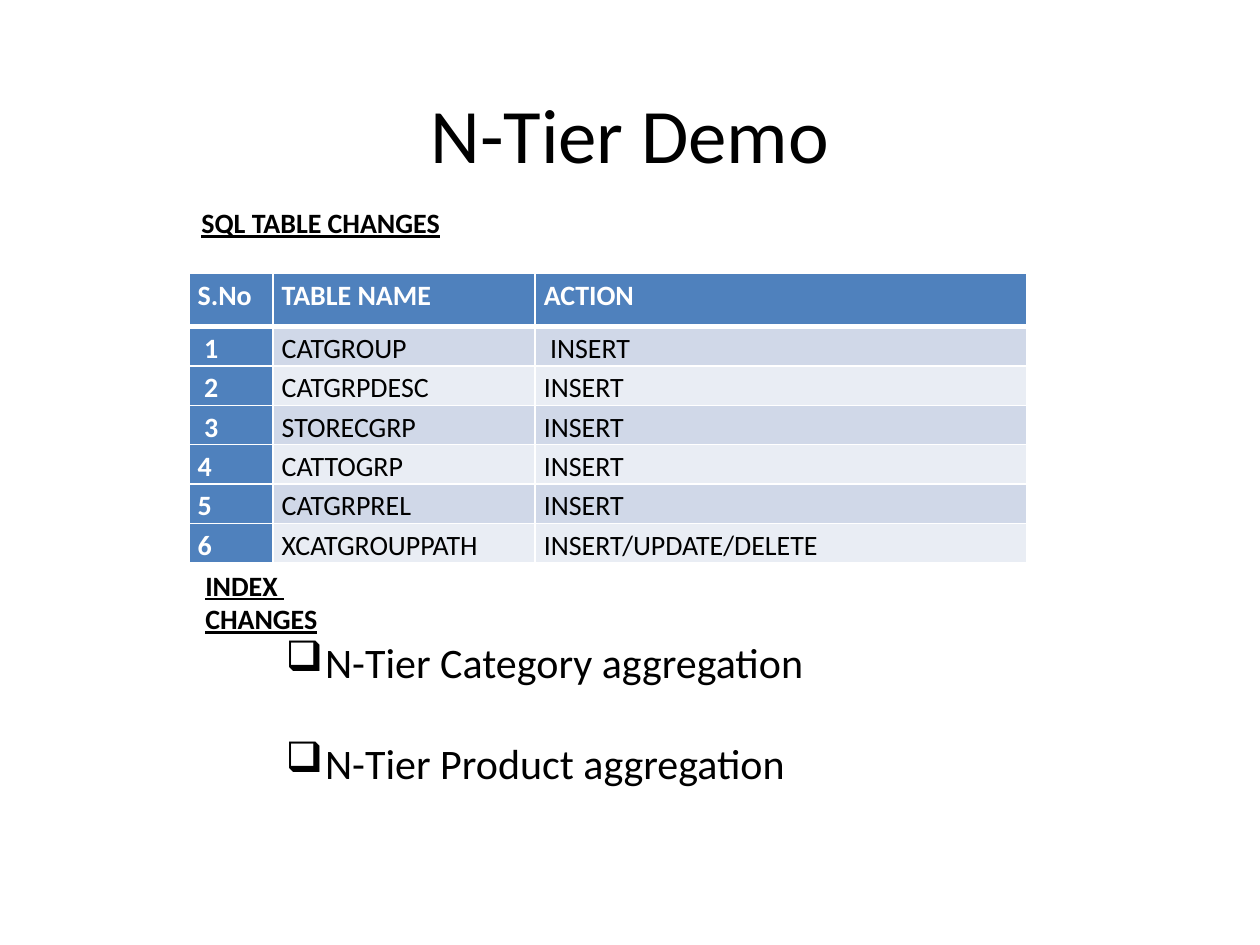
from pptx import Presentation
from pptx.dml.color import RGBColor
from pptx.enum.text import MSO_ANCHOR, MSO_AUTO_SIZE, PP_ALIGN
from pptx.oxml import parse_xml
from pptx.oxml.ns import nsdecls
from pptx.util import Pt

BLACK = RGBColor(0x00, 0x00, 0x00)
WHITE = RGBColor(0xFF, 0xFF, 0xFF)
BLUE = RGBColor(0x4F, 0x81, 0xBD)
BAND_DARK = RGBColor(0xD0, 0xD8, 0xE8)
BAND_LIGHT = RGBColor(0xE9, 0xED, 0xF4)
FONT = "Calibri"
TITLE_ONLY = 5

COLUMN_WIDTHS = (48, 149.8, 281)
HEADER_HEIGHT = 30.2
ROW_HEIGHT = 22.1
TABLE_ROWS = (
    ("S.No", "TABLE NAME", "ACTION"),
    (" 1", "CATGROUP", " INSERT"),
    (" 2", "CATGRPDESC", "INSERT"),
    (" 3", "STORECGRP", "INSERT"),
    ("4", "CATTOGRP", "INSERT"),
    ("5", "CATGRPREL", "INSERT"),
    ("6", "XCATGROUPPATH", "INSERT/UPDATE/DELETE"),
)


def style_font(font, size, color=BLACK, bold=False, underline=False):
    """Set the typeface, size, colour and emphasis of a font."""
    font.name = FONT
    font.size = Pt(size)
    font.color.rgb = color
    font.bold = bold
    font.underline = underline


def add_title(page, text):
    """Place the centred slide title."""
    title = page.shapes.title
    title.left, title.top, title.width, title.height = Pt(54), Pt(18), Pt(612), Pt(116)
    frame = title.text_frame
    frame.text = text
    frame.vertical_anchor = MSO_ANCHOR.MIDDLE
    para = frame.paragraphs[0]
    para.alignment = PP_ALIGN.CENTER
    style_font(para.font, 44)


def add_text_box(page, left, top, width, height):
    """Add a text box that grows with its text and return its frame."""
    box = page.shapes.add_textbox(Pt(left), Pt(top), Pt(width), Pt(height))
    frame = box.text_frame
    frame.word_wrap = False
    frame.auto_size = MSO_AUTO_SIZE.SHAPE_TO_FIT_TEXT
    return frame


def add_heading(page, text, left, top, width):
    """Add an underlined section heading."""
    frame = add_text_box(page, left, top, width, 26.6)
    frame.text = text
    style_font(frame.paragraphs[0].font, 16, bold=True, underline=True)


def add_bullets(page, items):
    """Add the list with box bullets and a line of space between items."""
    frame = add_text_box(page, 156.2, 360, 313.2, 94.3)
    frame.text = "\n".join(items)
    for index, para in enumerate(frame.paragraphs):
        style_font(para.font, 24)
        para.space_before = Pt(29 if index else 0)
        properties = para._p.get_or_add_pPr()
        properties.set("marL", str(Pt(22.5)))
        properties.set("indent", str(-Pt(22.5)))
        bullet = parse_xml(f'<a:buChar {nsdecls("a")} char="❑"/>')
        properties.insert_element_before(bullet, "a:tabLst", "a:defRPr", "a:extLst")


def set_borders(cell, top, bottom):
    """Draw white borders around a cell with the given top and bottom widths."""
    properties = cell._tc.get_or_add_tcPr()
    widths = {"lnL": 1, "lnR": 1, "lnT": top, "lnB": bottom}
    for index, (side, width) in enumerate(widths.items()):
        line = parse_xml(
            f'<a:{side} {nsdecls("a")} w="{Pt(width)}"><a:solidFill>'
            f'<a:srgbClr val="{WHITE}"/></a:solidFill></a:{side}>'
        )
        properties.insert(index, line)


def fill_cell(cell, text, row, column):
    """Write and format one cell according to its place in the table."""
    strong = row == 0 or column == 0
    cell.text = text
    cell.margin_left = cell.margin_right = Pt(5)
    cell.margin_top = cell.margin_bottom = Pt(0)
    para = cell.text_frame.paragraphs[0]
    para.line_spacing = 1.15
    style_font(para.font, 16, WHITE if strong else BLACK, bold=strong)
    cell.fill.solid()
    band = BAND_DARK if row % 2 else BAND_LIGHT
    cell.fill.fore_color.rgb = BLUE if strong else band
    set_borders(cell, top=3 if row == 1 else 1, bottom=3 if row == 0 else 1)


def add_changes_table(page):
    """Add the table of database changes."""
    heights = [HEADER_HEIGHT] + [ROW_HEIGHT] * (len(TABLE_ROWS) - 1)
    table = page.shapes.add_table(
        len(TABLE_ROWS), len(COLUMN_WIDTHS),
        Pt(108), Pt(156.4), Pt(sum(COLUMN_WIDTHS)), Pt(sum(heights)),
    ).table
    for column, width in zip(table.columns, COLUMN_WIDTHS):
        column.width = Pt(width)
    for row, (height, texts) in enumerate(zip(heights, TABLE_ROWS)):
        table.rows[row].height = Pt(height)
        for column, text in enumerate(texts):
            fill_cell(table.cell(row, column), text, row, column)


def main():
    """Build the slide and save the deck."""
    deck = Presentation()
    deck.slide_width, deck.slide_height = Pt(720), Pt(540)
    page = deck.slides.add_slide(deck.slide_layouts[TITLE_ONLY])
    add_changes_table(page)
    add_heading(page, "SQL TABLE CHANGES", 108, 113.8, 154.8)
    add_heading(page, "INDEX  CHANGES", 110.2, 321.1, 121.7)
    add_bullets(page, ("N-Tier Category aggregation", "N-Tier Product aggregation"))
    add_title(page, "N-Tier Demo")
    deck.save("out.pptx")


if __name__ == "__main__":
    main()
